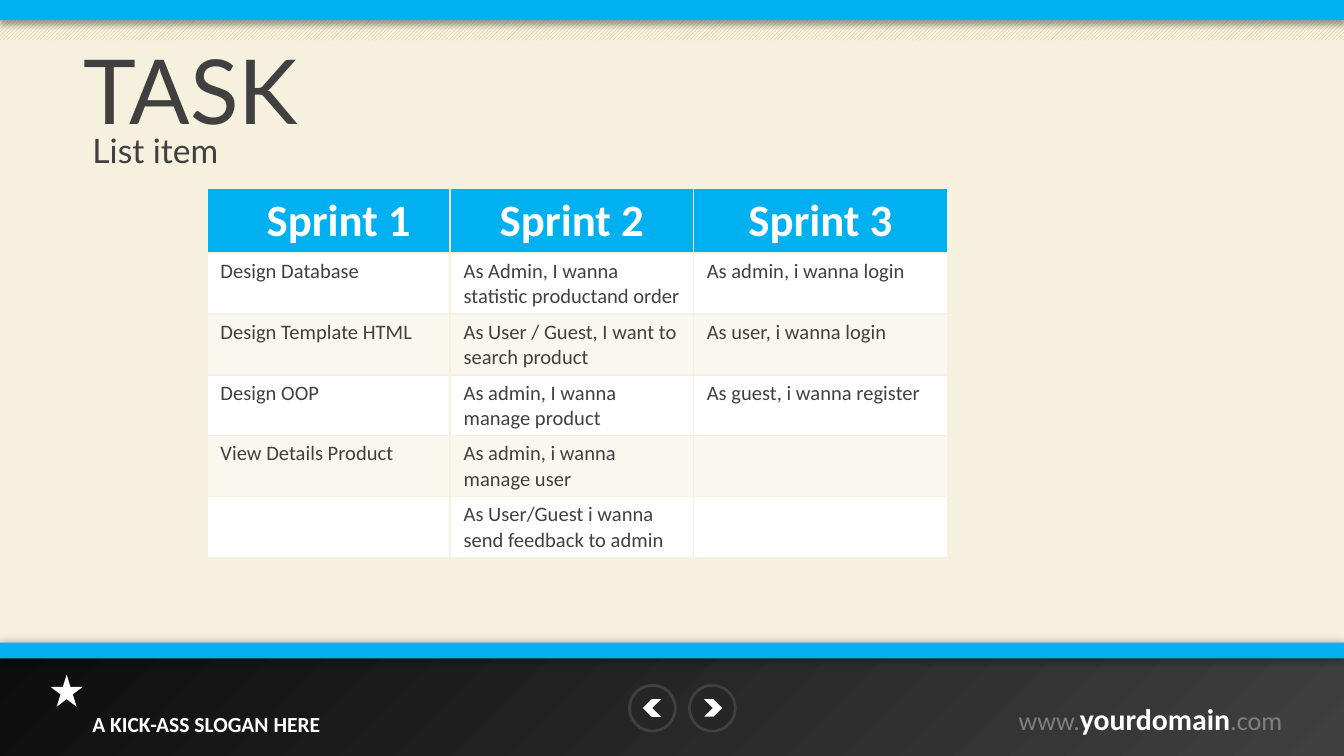
"""Build the sprint task list slide."""
from lxml import etree
from pptx import Presentation
from pptx.dml.color import RGBColor
from pptx.enum import dml, shapes, text
from pptx.oxml import ns
from pptx.util import Pt

BLUE, CREAM, WHITE, GREY = "00B0F0", "F6F1DE", "FFFFFF", "404040"
SHAPE = shapes.MSO_SHAPE
ALIGN = text.PP_ALIGN


def rgb(value):
    """Return a colour from a hex string."""
    return RGBColor.from_string(value)


def sub(parent, tag, **attrs):
    """Append a DrawingML element."""
    return etree.SubElement(parent, ns.qn(tag), {k: str(v) for k, v in attrs.items()})


def add_color(parent, value, alpha=100):
    """Append an sRGB colour with opacity in percent."""
    color = sub(parent, "a:srgbClr", val=value)
    if alpha < 100:
        sub(color, "a:alpha", val=alpha * 1000)


def add_shape(owner, kind, box, fill, line=None):
    """Add a flat preset shape."""
    s = owner.shapes.add_shape(kind, *map(Pt, box))
    s.shadow.inherit = False
    s.fill.solid()
    s.fill.fore_color.rgb = rgb(fill)
    if line:
        s.line.color.rgb = rgb(line)
        s.line.width = Pt(1.5)
    else:
        s.line.fill.background()
    return s


def set_shadow(s, alpha, blur, dist, angle):
    """Give a shape an outer black shadow."""
    effects = s._element.spPr.find(ns.qn("a:effectLst"))
    shadow = sub(effects, "a:outerShdw", blurRad=Pt(blur), dist=Pt(dist),
                 dir=angle * 60000, algn="ctr", rotWithShape=0)
    add_color(shadow, "000000", alpha)


def set_radial(s, inner, outer):
    """Fill a shape with a gradient that spreads from its top left corner."""
    s.fill.gradient()
    grad = s._element.spPr.find(ns.qn("a:gradFill"))
    for child in list(grad):
        grad.remove(child)
    stops = sub(grad, "a:gsLst")
    for pos, value in ((0, inner), (100000, outer)):
        add_color(sub(stops, "a:gs", pos=pos), value)
    path_fill = sub(grad, "a:path", path="circle")
    sub(path_fill, "a:fillToRect", l=0, t=0, r=100000, b=100000)


def add_run(p, words, size, color, font="Calibri", bold=False):
    """Add one formatted run to a paragraph."""
    r = p.add_run()
    r.text = words
    r.font.size = Pt(size)
    r.font.name = font
    r.font.bold = bold
    r.font.color.rgb = rgb(color)


def add_text(slide, box, runs, align=ALIGN.LEFT, top=3.6):
    """Add a one-paragraph text box."""
    tf = slide.shapes.add_textbox(*map(Pt, box)).text_frame
    tf.word_wrap = True
    tf.margin_top = Pt(top)
    p = tf.paragraphs[0]
    p.alignment = align
    for run in runs:
        add_run(p, *run)


def add_button(slide, left, arrow_left, turn):
    """Add a round navigation button."""
    group = slide.shapes.add_group_shape()
    add_shape(group, SHAPE.OVAL, (left, 367.2, 24.5, 24.5), "262626", GREY)
    arrow = add_shape(group, SHAPE.CHEVRON, (arrow_left, 374.6, 9.7, 9.4), WHITE)
    arrow.rotation = turn


def format_cell(cell, fill, alpha=100):
    """Set the borders, fill and margins of a cell."""
    tcPr = cell._tc.get_or_add_tcPr()
    for side in "LRTB":
        ln = sub(tcPr, "a:ln" + side, w=Pt(1))
        add_color(sub(ln, "a:solidFill"), CREAM)
    add_color(sub(tcPr, "a:solidFill"), fill, alpha)
    cell.margin_left = cell.margin_right = Pt(7.2)
    cell.margin_top = cell.margin_bottom = Pt(3)


def add_task_table(slide, box, widths, header, rows):
    """Add the sprint table with its header and alternating rows."""
    table = slide.shapes.add_table(len(rows) + 1, len(header), *map(Pt, box)).table
    for col, width in zip(table.columns, widths):
        col.width = Pt(width)
    for i, words in enumerate([header] + rows):
        table.rows[i].height = Pt(32.6 if i else 33.7)
        for cell, value in zip(table.rows[i].cells, words):
            format_cell(cell, WHITE if i else BLUE, 50 if i and i % 2 == 0 else 100)
            p = cell.text_frame.paragraphs[0]
            if i == 0:
                p.alignment = ALIGN.CENTER
                add_run(p, value, 24, WHITE, bold=True)
            elif value:
                add_run(p, value, 11, GREY)
    table.cell(0, 0).margin_left = Pt(18)


def add_frame(slide):
    """Add the background, bars and footer."""
    body = add_shape(slide, SHAPE.RECTANGLE, (0, 10.8, 720, 394.2), CREAM)
    footer = add_shape(slide, SHAPE.RECTANGLE, (0, 347.2, 720, 57.8), GREY)
    set_radial(footer, "0D0D0D", GREY)
    hatch = add_shape(slide, SHAPE.RECTANGLE, (0, 0, 720, 21.6), CREAM)
    hatch.fill.patterned()
    hatch.fill.pattern = dml.MSO_PATTERN.LIGHT_UPWARD_DIAGONAL
    hatch.fill.fore_color.rgb = rgb("D6C192")
    hatch.fill.back_color.rgb = rgb(CREAM)
    top_bar = add_shape(slide, SHAPE.RECTANGLE, (0, 0, 720, 10.8), BLUE)
    low_bar = add_shape(slide, SHAPE.RECTANGLE, (0, 344.2, 720, 8.6), BLUE)
    for s in (body, footer, top_bar):
        set_shadow(s, 35, 3.1, 1.8, 90)
    set_shadow(low_bar, 40, 5, 0, 0)
    add_text(slide, (36.7, 377.3, 147.6, 27.4),
             [("A KICK-ASS SLOGAN HERE", 11.5, WHITE, "Calibri", True)], ALIGN.CENTER)
    add_text(slide, (535.7, 375.1, 158.4, 23),
             [("www.", 14, "808080"), ("yourdomain", 16, WHITE, "Calibri", True),
              (".com", 14, "808080")], ALIGN.RIGHT, 0)
    add_shape(slide, SHAPE.STAR_5_POINT, (27.1, 361.4, 17.3, 17.3), WHITE)
    add_button(slide, 369.4, 377.2, 0)
    add_button(slide, 337.3, 344.4, 180)


def main():
    """Build and save the slide."""
    prs = Presentation()
    prs.slide_width, prs.slide_height = Pt(720), Pt(405)
    slide = prs.slides.add_slide(prs.slide_layouts[6])
    add_frame(slide)
    add_text(slide, (37.4, 15.1, 651.6, 59.8), [("TASK", 48, GREY, "Lato")])
    add_text(slide, (42.5, 66.2, 652.3, 38.2), [("List item", 18, GREY, "Lato")])
    add_task_table(
        slide, (110.9, 100.8, 396.7, 196.7), (130.3, 130.3, 136.1),
        ["Sprint 1", "Sprint 2", "Sprint 3"],
        [["Design Database", "As Admin, I wanna statistic productand order",
          "As admin, i wanna login"],
         ["Design Template HTML", "As User / Guest, I want to search product",
          "As user, i wanna login"],
         ["Design OOP", "As admin, I wanna manage product", "As guest, i wanna register"],
         ["View Details Product", "As admin, i wanna manage user", ""],
         ["", "As User/Guest i wanna send feedback to admin", ""]])
    prs.save("out.pptx")


main()
